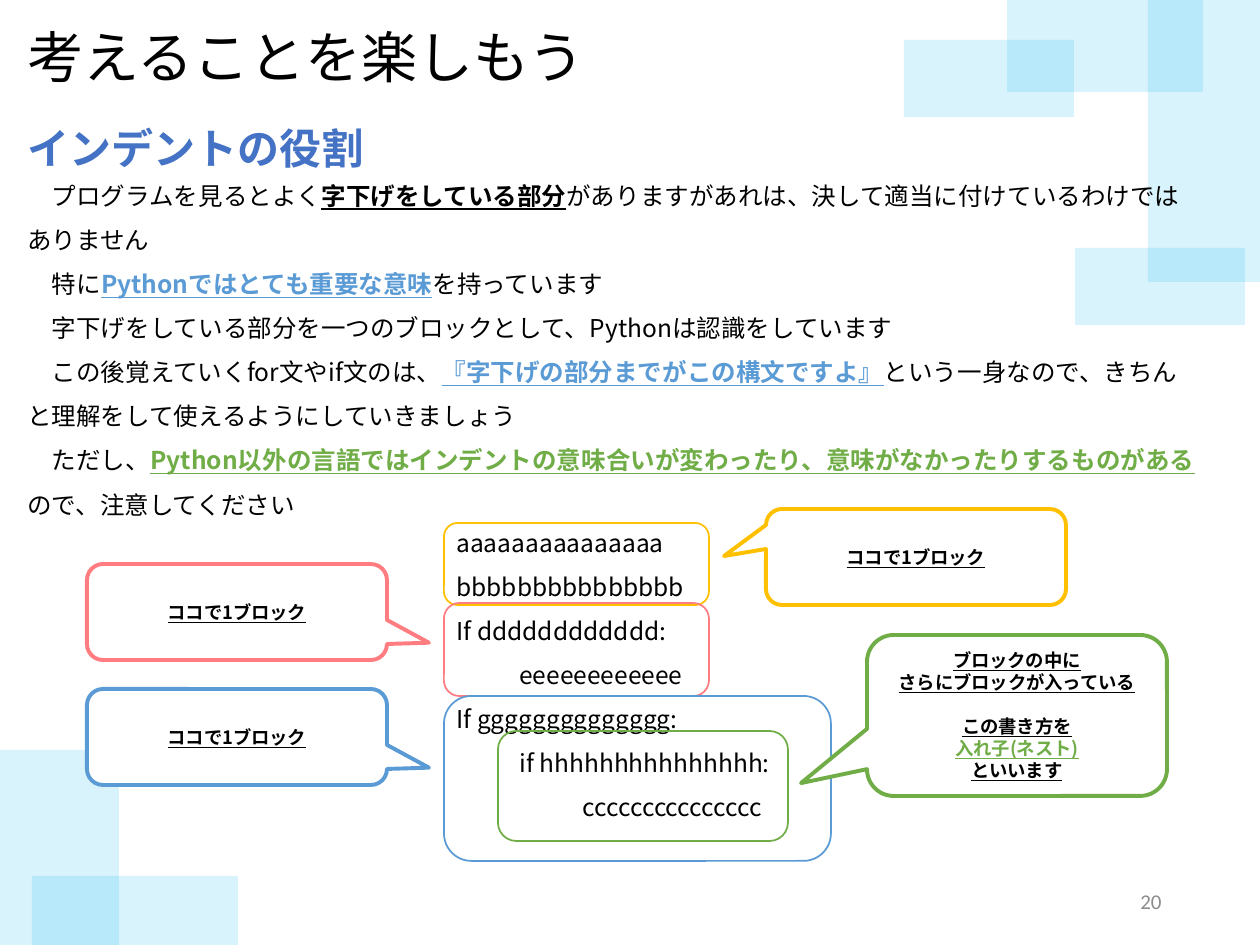
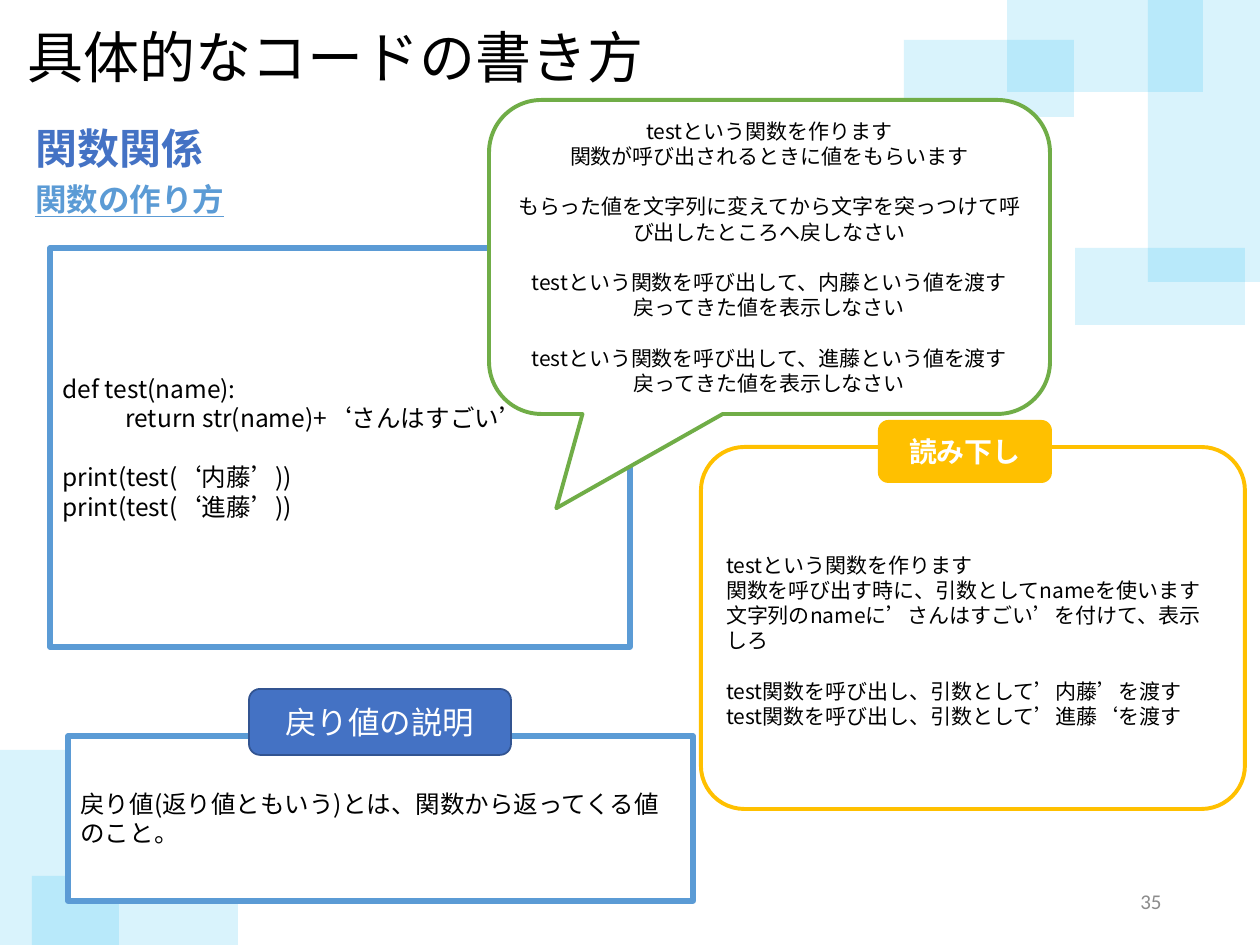
import lxml.etree
import pptx
import pptx.dml.color
import pptx.enum.shapes
import pptx.enum.text
import pptx.oxml.ns
import pptx.util

RGBColor = pptx.dml.color.RGBColor
Shape = pptx.enum.shapes.MSO_SHAPE
Align = pptx.enum.text.PP_ALIGN
Anchor = pptx.enum.text.MSO_ANCHOR

INK = RGBColor(0x00, 0x00, 0x00)
WHITE = RGBColor(0xFF, 0xFF, 0xFF)
GREY = RGBColor(0x8C, 0x8C, 0x8C)
SKY = RGBColor(0x00, 0xB0, 0xF0)
NAVY = RGBColor(0x44, 0x72, 0xC4)
NAVY_EDGE = RGBColor(0x32, 0x54, 0x91)
BLUE = RGBColor(0x5B, 0x9B, 0xD5)
GREEN = RGBColor(0x70, 0xAD, 0x47)
AMBER = RGBColor(0xFF, 0xC0, 0x00)
CORAL = RGBColor(0xFF, 0x7C, 0x80)

JAPANESE = "Noto Sans CJK JP"
EMU_PER_PX = 914400 / 126
TAB_PX = 63
LINE_HEIGHT = 1.2  # one line of text, relative to its size

# Character formats; a run may override any value.
TITLE = dict(size=32)
HEADING = dict(size=24, bold=True, color=NAVY)
SUBHEADING = dict(size=18, bold=True, underline=True, color=BLUE)
BODY = dict(size=14)
NOTE = dict(size=12)
CALLOUT = dict(size=10.5, bold=True, underline=True)
PAGE = dict(size=12, name="Calibri", color=GREY)
RETURN_LABEL = dict(size=18, name="Calibri", color=WHITE)
READING_LABEL = dict(size=16, bold=True, color=WHITE)
STRESS = dict(bold=True, underline=True)

# Paragraph formats.
LEFT = dict(alignment=Align.LEFT)
CENTRE = dict(alignment=Align.CENTER)
RIGHT = dict(alignment=Align.RIGHT)
LOOSE = dict(alignment=Align.LEFT, line_spacing=1.5)


def add_panel(slide, kind, box, fill=None, line=None, weight=1, adjustments=()):
    """Add a preset shape, or a growing text box if kind is None."""
    place = [round(px * EMU_PER_PX) for px in box]
    if kind is None:
        panel = slide.shapes.add_textbox(*place)
        panel.text_frame.auto_size = pptx.enum.text.MSO_AUTO_SIZE.SHAPE_TO_FIT_TEXT
    else:
        panel = slide.shapes.add_shape(kind, *place)
        panel.shadow.inherit = False
        panel.text_frame.vertical_anchor = Anchor.MIDDLE
        for index, value in enumerate(adjustments):
            panel.adjustments[index] = value
        if fill is None:
            panel.fill.background()
        else:
            panel.fill.solid()
            panel.fill.fore_color.rgb = fill
        if line is None:
            panel.line.fill.background()
        else:
            panel.line.color.rgb = line
            panel.line.width = pptx.util.Pt(weight)
    panel.text_frame.word_wrap = True
    return panel


def write(panel, groups, style, layout=LEFT):
    """Write groups of paragraphs, one line apart; a paragraph is text or a list of (text, overrides)."""
    frame = panel.text_frame
    paragraph = None
    for group in groups:
        for position, content in enumerate(group):
            starts_group = paragraph is not None and position == 0
            paragraph = frame.add_paragraph() if paragraph is not None else frame.paragraphs[0]
            for attribute, value in layout.items():
                setattr(paragraph, attribute, value)
            if starts_group:
                paragraph.space_before = pptx.util.Pt(style["size"] * LINE_HEIGHT)
            runs = [(content, {})] if isinstance(content, str) else content
            if runs[0][0].startswith("\t"):
                tabs = lxml.etree.SubElement(paragraph._p.get_or_add_pPr(), pptx.oxml.ns.qn("a:tabLst"))
                for step in (1, 2):
                    lxml.etree.SubElement(tabs, pptx.oxml.ns.qn("a:tab"),
                                          pos=str(round(step * TAB_PX * EMU_PER_PX)), algn="l")
            for text, overrides in runs:
                run = paragraph.add_run()
                run.text = text
                values = {"name": JAPANESE, "color": INK, **style, **overrides}
                run.font.color.rgb = values.pop("color")
                values["size"] = pptx.util.Pt(values["size"])
                for attribute, value in values.items():
                    setattr(run.font, attribute, value)
                lxml.etree.SubElement(run._r.get_or_add_rPr(), pptx.oxml.ns.qn("a:ea"), typeface=JAPANESE)


deck = pptx.Presentation()
deck.slide_width = round(1260 * EMU_PER_PX)
deck.slide_height = round(945 * EMU_PER_PX)

# Shared background, title, heading and page number
background_tiles = [
    (1075, 248, 170, 77), (1148, 0, 112, 282), (1007, 0, 196, 92),
    (904, 40, 170, 77), (0, 750, 119, 195), (32, 876, 206, 69),
]
for title, heading, heading_left, page in [
    ("考えることを楽しもう", "インデントの役割", 15, "20"),
    ("具体的なコードの書き方", "関数関係", 23, "35"),
]:
    slide = deck.slides.add_slide(deck.slide_layouts[6])
    for box in background_tiles:
        tile = add_panel(slide, Shape.RECTANGLE, box, SKY)
        colour = tile.fill._xPr.find(".//" + pptx.oxml.ns.qn("a:srgbClr"))
        lxml.etree.SubElement(colour, pptx.oxml.ns.qn("a:alpha"), val="15000")
    write(add_panel(slide, None, (15, 16, 803, 81)), [[title]], TITLE)
    write(add_panel(slide, None, (heading_left, 91, 653, 83)), [[heading]], HEADING, LOOSE)
    write(add_panel(slide, Shape.RECTANGLE, (890, 876, 284, 50)), [[page]], PAGE, RIGHT)

indent_slide, function_slide = deck.slides

# Slide 1: the role of indentation
explanation = [
    [("　プログラムを見るとよく", {}), ("字下げをしている部分", STRESS),
     ("がありますがあれは、決して適当に付けているわけではありません", {})],
    [("　特に", {}), ("Pythonではとても重要な意味", {**STRESS, "color": BLUE}), ("を持っています", {})],
    "　字下げをしている部分を一つのブロックとして、Pythonは認識をしています",
    [("　この後覚えていくfor文やif文のは、", {}),
     ("『字下げの部分までがこの構文ですよ』", {**STRESS, "color": BLUE}),
     ("という一身なので、きちんと理解をして使えるようにしていきましょう", {})],
    [("　ただし、", {}),
     ("Python以外の言語ではインデントの意味合いが変わったり、意味がなかったりするものがある",
      {**STRESS, "color": GREEN}),
     ("ので、注意してください", {})],
]
write(add_panel(indent_slide, None, (15, 160, 1193, 365)), [explanation], BODY, LOOSE)

sample_code = [
    "aaaaaaaaaaaaaaa",
    "bbbbbbbbbbbbbbb",
    "If dddddddddddd:",
    "\teeeeeeeeeeee",
    "If gggggggggggggg:",
    "\tif hhhhhhhhhhhhhhh:",
    "\t\tccccccccccccccc",
]
write(add_panel(indent_slide, None, (444, 507, 446, 321)), [sample_code], BODY, LOOSE)

for box, colour in [
    ((444, 523, 265, 82), AMBER),
    ((444, 603, 265, 93), CORAL),
    ((444, 696, 387, 165), BLUE),
    ((498, 731, 290, 110), GREEN),
]:
    add_panel(indent_slide, Shape.ROUNDED_RECTANGLE, box, line=colour)

one_block = [["ココで1ブロック"]]
nested_blocks = [
    ["ブロックの中に", "さらにブロックが入っている"],
    ["この書き方を", [("入れ子(ネスト)", {"color": GREEN})], "といいます"],
]
for left, top, height, colour, pointer, remark in [
    (766, 509, 96, AMBER, (-0.64, -0.01), one_block),
    (87, 564, 96, CORAL, (0.64, 0.32), one_block),
    (87, 689, 96, BLUE, (0.64, 0.32), one_block),
    (867, 635, 161, GREEN, (-0.72, 0.42), nested_blocks),
]:
    callout = add_panel(indent_slide, Shape.ROUNDED_RECTANGULAR_CALLOUT, (left, top, 300, height),
                        WHITE, colour, 2.25, pointer)
    write(callout, remark, CALLOUT, CENTRE)

# Slide 2: writing a function
write(add_panel(function_slide, None, (23, 174, 498, 50)), [["関数の作り方"]], SUBHEADING)

function_code = add_panel(function_slide, Shape.RECTANGLE, (50, 248, 580, 399), WHITE, BLUE, 3)
write(function_code, [
    ["def test(name):", "\treturn str(name)+‘さんはすごい’"],
    ["print(test(‘内藤’))", "print(test(‘進藤’))"],
], BODY)

walkthrough = add_panel(function_slide, Shape.ROUNDED_RECTANGULAR_CALLOUT, (489, 100, 561, 314),
                        WHITE, GREEN, 2.25, (-0.38, 0.8))
write(walkthrough, [
    ["testという関数を作ります", "関数が呼び出されるときに値をもらいます"],
    ["もらった値を文字列に変えてから文字を突っつけて呼び出したところへ戻しなさい"],
    ["testという関数を呼び出して、内藤という値を渡す", "戻ってきた値を表示しなさい"],
    ["testという関数を呼び出して、進藤という値を渡す", "戻ってきた値を表示しなさい"],
], NOTE, CENTRE)

return_value = add_panel(function_slide, Shape.RECTANGLE, (68, 736, 625, 165), WHITE, BLUE, 3)
write(return_value, [["戻り値(返り値ともいう)とは、関数から返ってくる値のこと。"]], BODY)
return_label = add_panel(function_slide, Shape.ROUNDED_RECTANGLE, (249, 689, 262, 66), NAVY, NAVY_EDGE)
write(return_label, [["戻り値の説明"]], RETURN_LABEL, CENTRE)

reading = add_panel(function_slide, Shape.ROUNDED_RECTANGLE, (701, 447, 544, 362),
                    WHITE, AMBER, 2.25, (0.12,))
reading.text_frame.margin_top = round(31 * EMU_PER_PX)
write(reading, [
    ["testという関数を作ります", "関数を呼び出す時に、引数としてnameを使います",
     "文字列のnameに’さんはすごい’を付けて、表示しろ"],
    ["test関数を呼び出し、引数として’内藤’を渡す", "test関数を呼び出し、引数として’進藤‘を渡す"],
], NOTE)
reading_label = add_panel(function_slide, Shape.ROUNDED_RECTANGLE, (878, 420, 174, 63), AMBER)
write(reading_label, [["読み下し"]], READING_LABEL, CENTRE)

deck.save("out.pptx")
